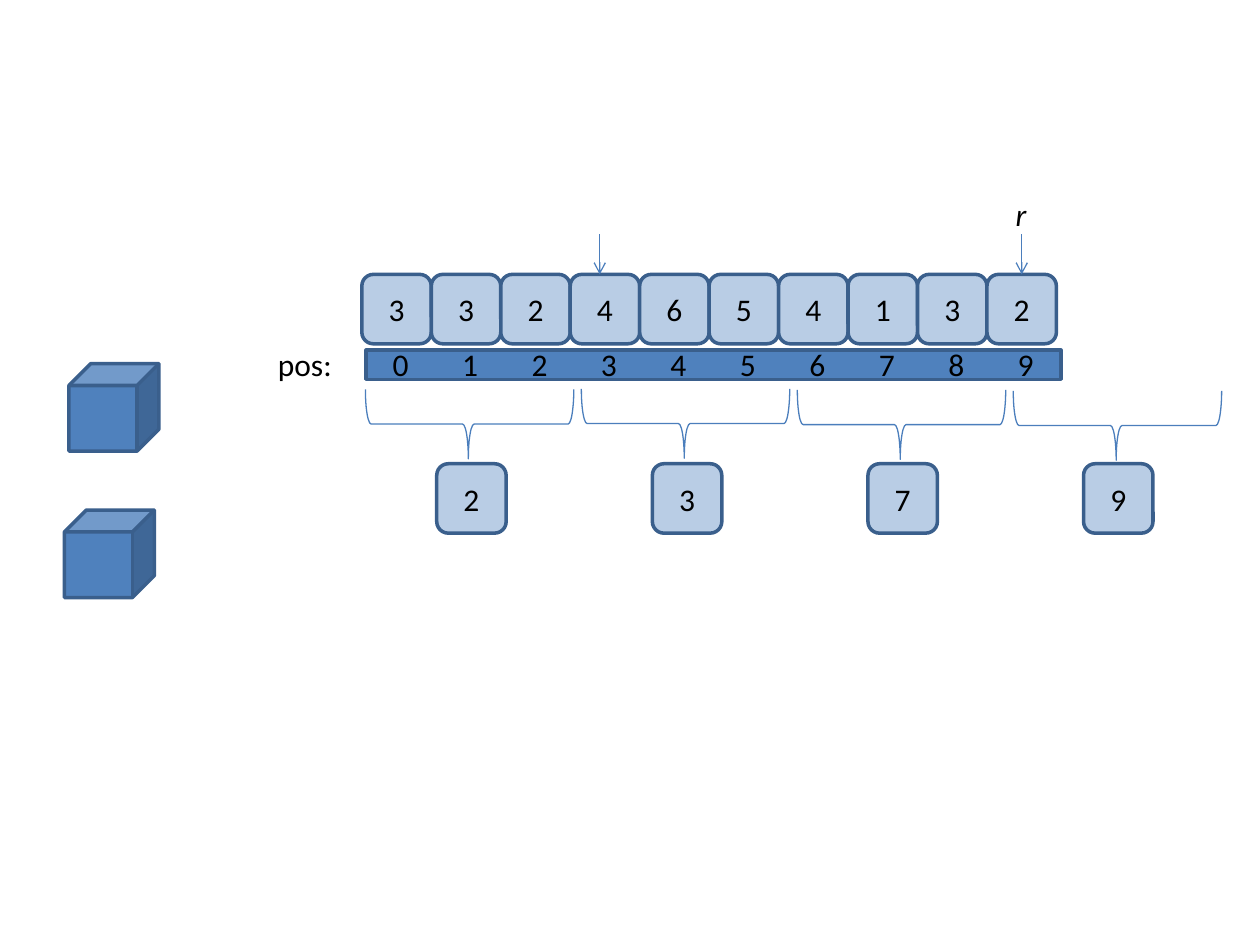
from lxml import etree
from pptx import Presentation
from pptx.dml.color import RGBColor
from pptx.enum import shapes, text
from pptx.oxml import ns
from pptx.util import Pt

COLORS = {"cell": "B9CDE5", "solid": "4F81BD", "outline": "3A5F8C",
          "thin": "4B7EBC", "text": "000000"}
CELL = 39.69
KIND = shapes.MSO_SHAPE


def color(name):
    """Return the palette colour with this name."""
    return RGBColor.from_string(COLORS[name])


def style_text(frame, wording, italic=False):
    """Write one line of 18 point Calibri."""
    frame.text = wording
    font = frame.paragraphs[0].runs[0].font
    font.name, font.size, font.italic = "Calibri", Pt(18), italic
    font.color.rgb = color("text")


def add_block(slide, kind, left, top, width, height, fill):
    """Add a filled shape with the dark outline."""
    block = slide.shapes.add_shape(kind, Pt(left), Pt(top), Pt(width), Pt(height))
    block.shadow.inherit = False
    block.fill.solid()
    block.fill.fore_color.rgb = color(fill)
    block.line.color.rgb = color("outline")
    block.line.width = Pt(2)
    return block


def add_cell(slide, left, top, value):
    """Add a rounded square with a centred value."""
    cell = add_block(slide, KIND.ROUNDED_RECTANGLE, left, top, CELL, CELL, "cell")
    style_text(cell.text_frame, value)
    cell.text_frame.vertical_anchor = text.MSO_ANCHOR.MIDDLE
    cell.text_frame.paragraphs[0].alignment = text.PP_ALIGN.CENTER


def add_label(slide, left, top, width, wording, italic=False):
    """Add an unwrapped label that fits its text."""
    label = slide.shapes.add_textbox(Pt(left), Pt(top), Pt(width), Pt(29))
    style_text(label.text_frame, wording, italic)
    label.text_frame.word_wrap = False
    label.text_frame.auto_size = text.MSO_AUTO_SIZE.SHAPE_TO_FIT_TEXT


def add_pointer(slide, x, top, length):
    """Add a thin arrow pointing down."""
    pointer = slide.shapes.add_connector(
        shapes.MSO_CONNECTOR.STRAIGHT, Pt(x), Pt(top), Pt(x), Pt(top + length))
    pointer.line.color.rgb = color("thin")
    pointer.line.width = Pt(0.75)
    etree.SubElement(pointer.line._get_or_add_ln(), ns.qn("a:tailEnd"), type="arrow")
    etree.SubElement(pointer._element.spPr, ns.qn("a:effectLst"))


def add_brace(slide, left, top, width, height):
    """Add a brace that opens upwards over the given box."""
    middle_x, middle_y = left + width / 2, top + height / 2
    brace = slide.shapes.add_shape(
        KIND.LEFT_BRACE, Pt(middle_x - height / 2), Pt(middle_y - width / 2),
        Pt(height), Pt(width))
    brace.rotation = 270
    brace.adjustments[0], brace.adjustments[1] = 0.083, 0.494
    brace.shadow.inherit = False
    brace.fill.background()
    brace.line.color.rgb = color("thin")
    brace.line.width = Pt(0.75)


def draw_array(slide, left, top, values):
    """Draw the row of values with its two pointers."""
    for index, value in enumerate(values):
        add_cell(slide, left + index * CELL, top, value)
    last_middle = left + (len(values) - 0.5) * CELL
    for x in (left + 3.5 * CELL - 3, last_middle):
        add_pointer(slide, x, top - 23, 23)
    add_label(slide, last_middle - 10.6, top - 49, 21, "r", italic=True)


def draw_positions(slide, left, top, count):
    """Draw the position bar with its numbers and caption."""
    add_block(slide, KIND.RECTANGLE, left, top, count * CELL, 16.7, "solid")
    for index in range(count):
        add_label(slide, left + 8 + index * CELL, top - 6.5, 23.8, str(index))
    add_label(slide, left - 57.6, top - 6.5, 45.4, "pos:")


def draw_groups(slide, left, top, values):
    """Draw a brace and a result cell for each group of three."""
    drops = (0.3, 0, 0.6, 1.1)
    for index, (value, drop) in enumerate(zip(values, drops)):
        add_brace(slide, left + index * 123.4, top + drop, 3 * CELL, CELL)
        add_cell(slide, left + 40.8 + index * 123.2, top + 42.8, value)


def draw_cubes(slide, left, top):
    """Draw the two cubes, the lower one slightly to the left."""
    for shift, drop in ((0, 0), (-2.6, 83.7)):
        add_block(slide, KIND.CUBE, left + shift, top + drop, 51.4, 50, "solid")


def main():
    """Build the slide and save it."""
    deck = Presentation()
    deck.slide_width, deck.slide_height = Pt(720), Pt(540)
    slide = deck.slides.add_slide(deck.slide_layouts[6])
    draw_cubes(slide, 39.4, 207.8)
    draw_array(slide, 206.8, 156.8, "3324654132")
    draw_positions(slide, 209.3, 200.1, 10)
    draw_groups(slide, 208.8, 222.2, "2379")
    deck.save("out.pptx")


if __name__ == "__main__":
    main()
